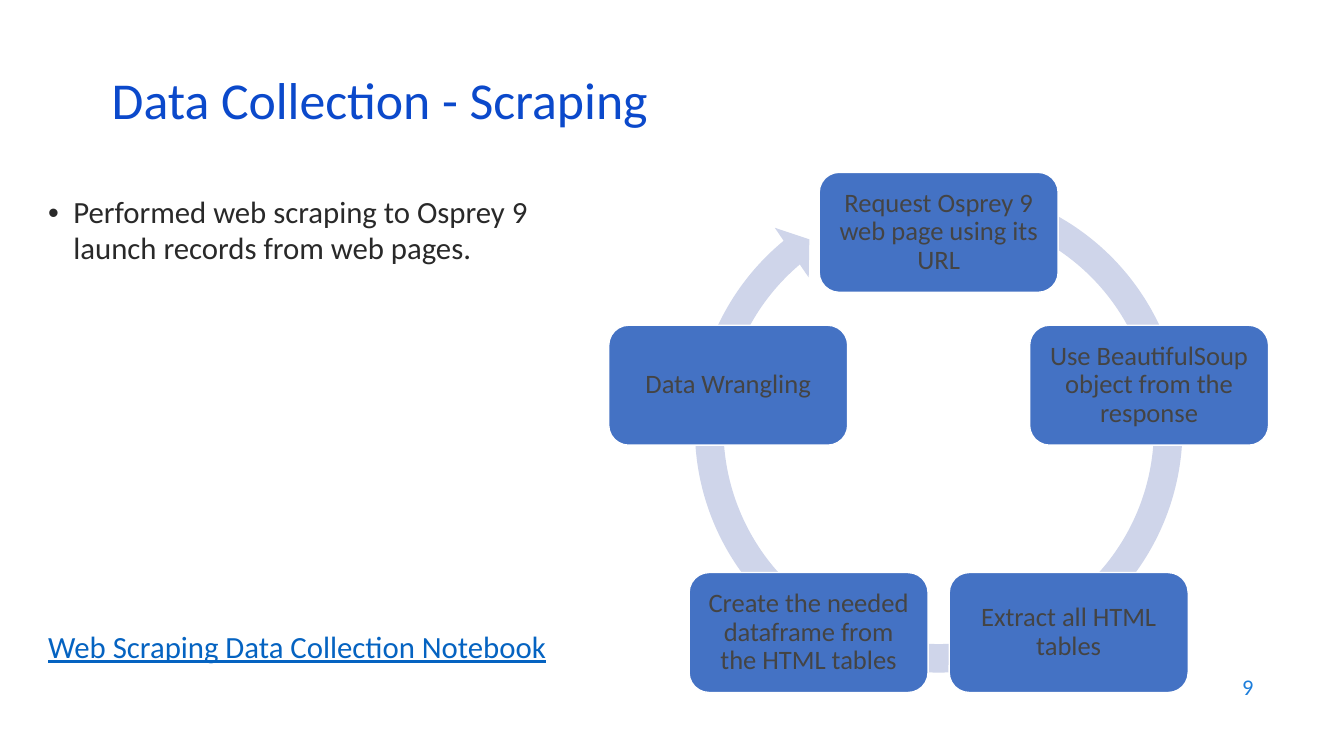
from math import cos, pi, sin

from lxml.etree import SubElement
from pptx import Presentation
from pptx.dml.color import RGBColor
from pptx.enum.shapes import MSO_SHAPE as Shape
from pptx.enum.text import MSO_ANCHOR as Anchor, PP_ALIGN as Align
from pptx.oxml.ns import qn
from pptx.util import Pt

PX = 9144  # EMU per px, 100 px to the inch
FONT = "Calibri"

TITLE_BLUE = RGBColor(0x0B, 0x49, 0xCB)
NUMBER_BLUE = RGBColor(0x1C, 0x7D, 0xDB)
LINK_BLUE = RGBColor(0x05, 0x63, 0xC1)
NODE_BLUE = RGBColor(0x44, 0x72, 0xC4)
RING_GREY = RGBColor(0xCF, 0xD5, 0xEA)
BODY_INK = RGBColor(0x29, 0x29, 0x29)
NODE_INK = RGBColor(0x44, 0x44, 0x44)
WHITE = RGBColor(0xFF, 0xFF, 0xFF)

STEPS = [
    "Request Osprey 9 web page using its URL",
    "Use BeautifulSoup object from the response",
    "Extract all HTML tables",
    "Create the needed dataframe from the HTML tables",
    "Data Wrangling",
]


def emu(*lengths):
    return [round(length * PX) for length in lengths]


def write(frame, text, size, color, align=Align.LEFT, spacing=1.0):
    """Put one run in the first paragraph of a text frame."""
    frame.word_wrap = True
    para = frame.paragraphs[0]
    para.alignment = align
    para.line_spacing = spacing
    span = para.add_run()
    span.text = text
    span.font.name = FONT
    span.font.size = Pt(size)
    span.font.color.rgb = color
    return para


def add_text(page, box, text, size, color, anchor=Anchor.TOP, **style):
    frame = page.shapes.add_textbox(*emu(*box)).text_frame
    frame.vertical_anchor = anchor
    return write(frame, text, size, color, **style)


def add_bullet(para, indent):
    properties = para._p.get_or_add_pPr()
    properties.set("marL", str(indent * PX))
    properties.set("indent", str(-indent * PX))
    SubElement(properties, qn("a:buFont"), typeface="Arial")
    SubElement(properties, qn("a:buChar"), char="•")


def add_filled(page, kind, box, color):
    shape = page.shapes.add_shape(kind, *emu(*box))
    shape.shadow.inherit = False
    shape.fill.solid()
    shape.fill.fore_color.rgb = color
    return shape


def add_summary(page, left, top, width, height):
    """Bullet at the top of the box, notebook link at its foot."""
    bullet = add_text(page, (left, top, width, 85),
                      "Performed web scraping to Osprey 9 launch records from web pages.",
                      22, BODY_INK, spacing=0.96)
    add_bullet(bullet, 25)
    link = add_text(page, (left, top + height - 46, width, 46),
                    "Web Scraping Data Collection Notebook", 22, LINK_BLUE)
    link.runs[0].font.underline = True


def add_cycle(page, left, top, width, height):
    """Steps on a regular pentagon, over a circular arrow."""
    node_width, node_height, ring_size = 237, 119, 515
    radius = (height - node_height) / (1 + cos(pi / 5))
    center_x = left + width / 2
    center_y = top + node_height / 2 + radius

    # Ring
    ring = add_filled(page, Shape.CIRCULAR_ARROW,
                      (center_x - ring_size / 2, top - 3, ring_size, ring_size), RING_GREY)
    ring.line.fill.background()
    for index, value in enumerate((0.055, 3.307, 138.113, 173.645, 0.058)):
        ring.adjustments[index] = value

    # Steps, clockwise from the top
    for index, step in enumerate(STEPS):
        angle = 2 * pi * index / len(STEPS)
        node = add_filled(page, Shape.ROUNDED_RECTANGLE,
                          (center_x + radius * sin(angle) - node_width / 2,
                           center_y - radius * cos(angle) - node_height / 2,
                           node_width, node_height), NODE_BLUE)
        node.line.color.rgb = WHITE
        node.line.width = Pt(1)
        frame = node.text_frame
        frame.margin_left = frame.margin_right = 8 * PX
        frame.margin_top = frame.margin_bottom = 8 * PX
        frame.vertical_anchor = Anchor.MIDDLE
        write(frame, step, 19, NODE_INK, Align.CENTER, 0.9)


def main():
    deck = Presentation()
    deck.slide_width, deck.slide_height = emu(1333, 750)
    page = deck.slides.add_slide(deck.slide_layouts[6])

    add_text(page, (101, 76, 1150, 60), "Data Collection - Scraping", 37, TITLE_BLUE,
             Anchor.MIDDLE, spacing=0.7)
    add_summary(page, 38, 189, 562, 475)
    add_cycle(page, 604, 171, 654, 516)
    add_text(page, (953, 659, 300, 44), "9", 16, NUMBER_BLUE, Anchor.MIDDLE, align=Align.RIGHT)

    deck.save("out.pptx")


if __name__ == "__main__":
    main()
